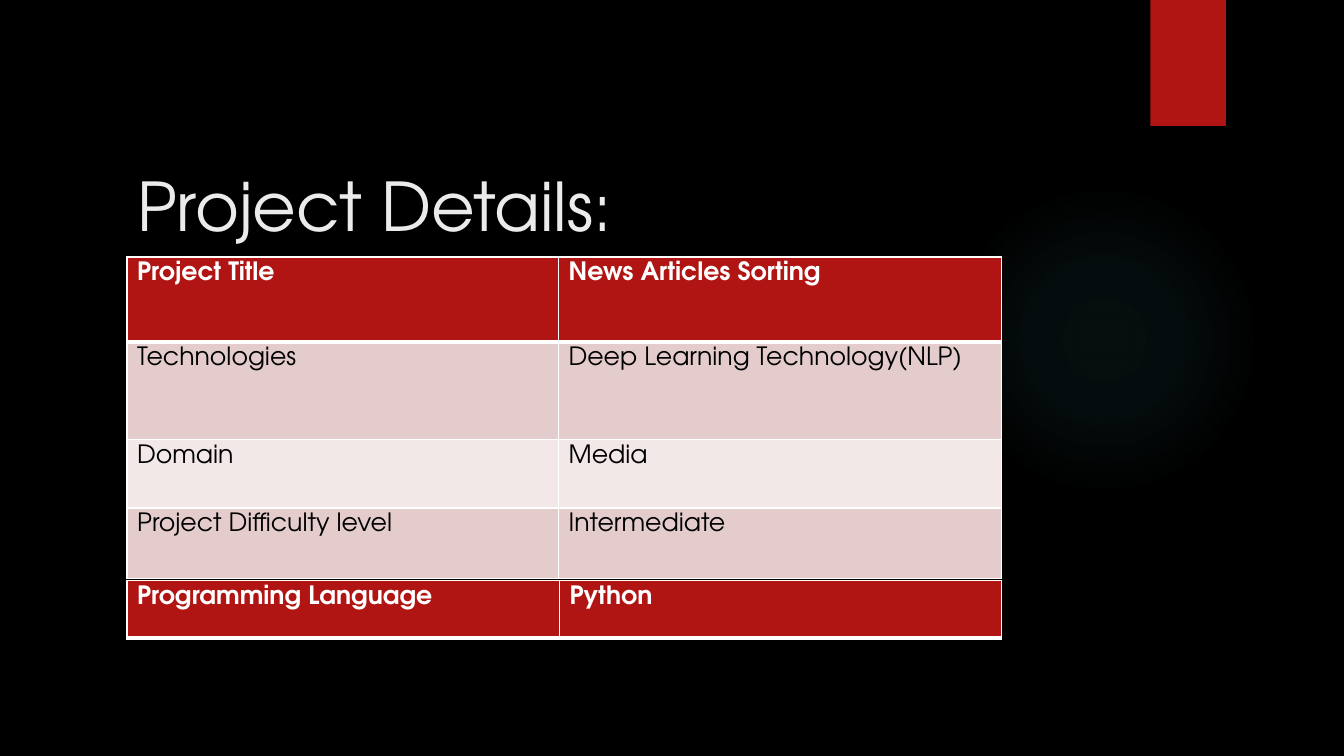
"""Build the project details slide."""
import pptx
import pptx.dml.color
import pptx.enum.shapes
import pptx.enum.text
import pptx.oxml
import pptx.oxml.ns
import pptx.util

Inches = pptx.util.Inches
RGB = pptx.dml.color.RGBColor
BLACK = RGB(0, 0, 0)
WHITE = RGB(255, 255, 255)
RED = RGB(0xB0, 0x15, 0x13)
ROSE = RGB(0xE4, 0xCC, 0xCC)
PALE = RGB(0xF2, 0xE8, 0xE7)
LIGHT = RGB(0xEB, 0xEB, 0xEB)
TEAL = RGB(0x50, 0xB9, 0xC1)
FONT = "TeX Gyre Adventor"
SPACE = pptx.oxml.ns.nsdecls("a")
LEFT = 1.26


def write(frame, text, size=18, color=BLACK, bold=False):
    """Put formatted, left-aligned text in a frame."""
    para = frame.paragraphs[0]
    para.alignment = pptx.enum.text.PP_ALIGN.LEFT
    run = para.add_run()
    run.text = text
    font = run.font
    font.name, font.size, font.bold = FONT, pptx.util.Pt(size), bold
    font.color.rgb = color


def shape(slide, kind, box, color):
    """Add a plain filled shape without line or shadow."""
    item = slide.shapes.add_shape(kind, *map(Inches, box))
    item.shadow.inherit = False
    item.line.fill.background()
    item.fill.solid()
    item.fill.fore_color.rgb = color
    return item


def glow(item, color, stops):
    """Replace the fill of a shape with a fading radial gradient."""
    marks = "".join(
        f'<a:gs pos="{pos * 1000}"><a:srgbClr val="{color}">'
        f'<a:alpha val="{alpha * 1000}"/></a:srgbClr></a:gs>'
        for pos, alpha in stops)
    grad = pptx.oxml.parse_xml(
        f'<a:gradFill {SPACE} rotWithShape="1"><a:gsLst>{marks}</a:gsLst>'
        '<a:path path="circle"><a:fillToRect l="50000" t="50000" '
        'r="50000" b="50000"/></a:path></a:gradFill>')
    solid = item.element.spPr.find(pptx.oxml.ns.qn("a:solidFill"))
    solid.getparent().replace(solid, grad)


def border(cell, top=1, bottom=1):
    """Draw white borders, with widths in points, around a cell."""
    props = cell._tc.get_or_add_tcPr()
    sides = {"L": 1, "R": 1, "T": top, "B": bottom}
    for spot, (side, width) in enumerate(sides.items()):
        props.insert(spot, pptx.oxml.parse_xml(
            f'<a:ln{side} {SPACE} w="{pptx.util.Pt(width)}"><a:solidFill>'
            f'<a:srgbClr val="{WHITE}"/></a:solidFill></a:ln{side}>'))


def grid(slide, top, cols, rows):
    """Add a table whose first row is a bold red header."""
    high = sum(row[0] for row in rows)
    box = map(Inches, (LEFT, top, sum(cols), high))
    table = slide.shapes.add_table(len(rows), len(cols), *box).table
    for col, width in zip(table.columns, cols):
        col.width = Inches(width)
    for i, (height, *texts) in enumerate(rows):
        table.rows[i].height = Inches(height)
        head = i == 0
        for cell, text in zip(table.rows[i].cells, texts):
            cell.margin_top = cell.margin_bottom = Inches(0.05)
            cell.fill.solid()
            cell.fill.fore_color.rgb = RED if head else ROSE if i % 2 else PALE
            border(cell, top=3 if i == 1 else 1, bottom=3 if head else 1)
            write(cell.text_frame, text, bold=head,
                  color=WHITE if head else BLACK)


def title(slide, text):
    """Place the title above the decoration."""
    item = slide.shapes.title
    item.left, item.top, item.width, item.height = map(
        Inches, (LEFT, 1.58, 9.65, 2.17))
    frame = item.text_frame
    frame.auto_size = pptx.enum.text.MSO_AUTO_SIZE.NONE
    frame.vertical_anchor = pptx.enum.text.MSO_ANCHOR.TOP
    write(frame, text, size=48, color=LIGHT)
    item.element.getparent().append(item.element)


def main():
    """Build and save the slide."""
    deck = pptx.Presentation()
    deck.slide_width, deck.slide_height = Inches(13.33), Inches(7.5)
    slide = deck.slides.add_slide(deck.slide_layouts[5])
    slide.background.fill.solid()
    slide.background.fill.fore_color.rgb = BLACK
    kinds = pptx.enum.shapes.MSO_SHAPE
    halo = shape(slide, kinds.OVAL, (9.41, 1.83, 3.08, 3.08), TEAL)
    glow(halo, TEAL, [(0, 7), (36, 6), (69, 0)])
    shape(slide, kinds.RECTANGLE, (11.41, 0, 0.75, 1.25), RED)
    title(slide, "Project Details:")
    grid(slide, 2.55, (4.28, 4.39), [
        (0.84, "Project Title", "News Articles Sorting"),
        (0.97, "Technologies", "Deep Learning Technology(NLP)"),
        (0.68, "Domain", "Media"),
        (0.7, "Project Difficulty level", "Intermediate")])
    grid(slide, 5.76, (4.29, 4.38), [
        (0.57, "Programming Language", "Python")])
    deck.save("out.pptx")


main()
